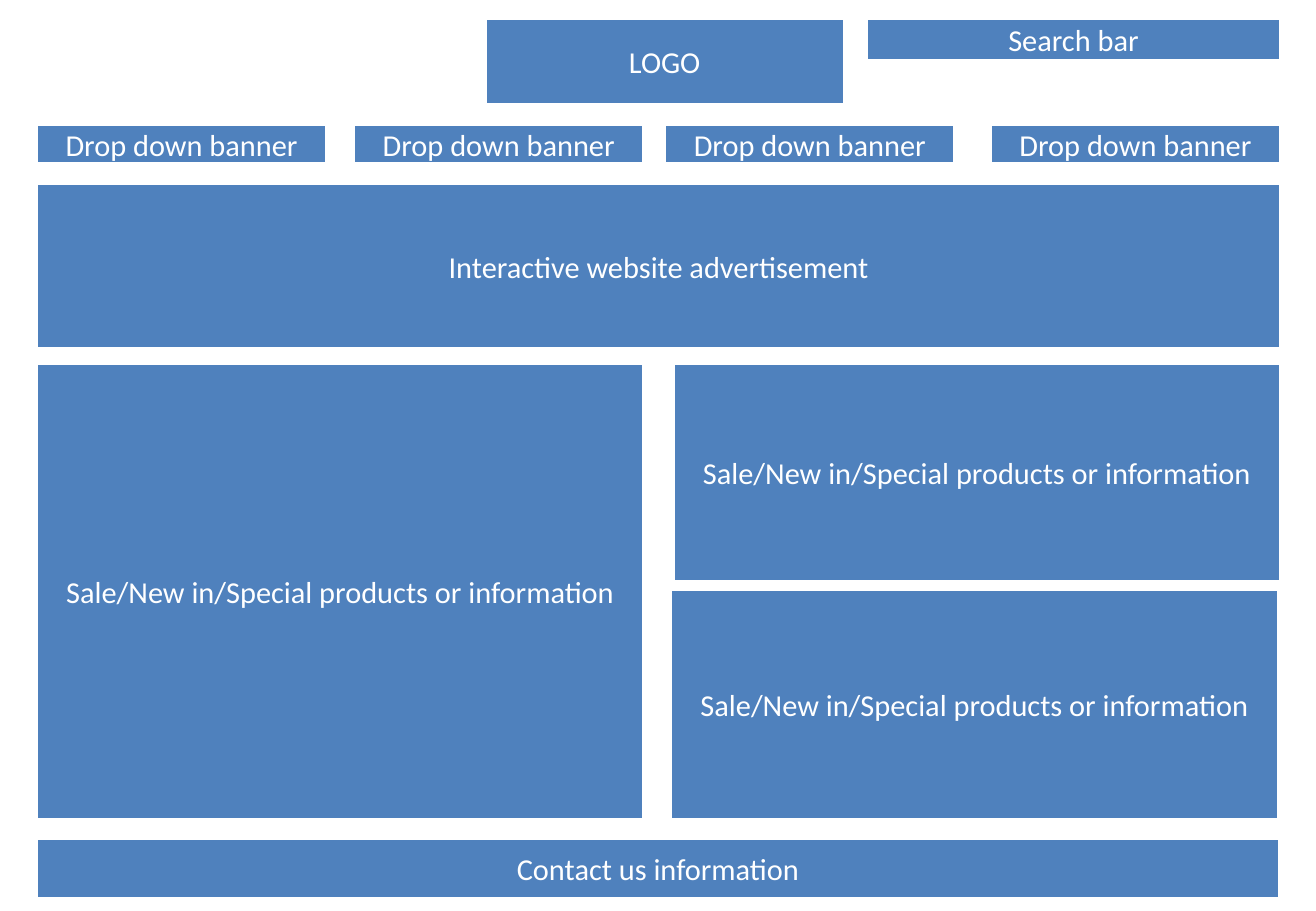
from dataclasses import dataclass

from pptx import Presentation
from pptx.dml.color import RGBColor
from pptx.enum.shapes import MSO_SHAPE
from pptx.enum.text import MSO_ANCHOR, PP_ALIGN
from pptx.shapes.autoshape import Shape
from pptx.slide import Slide
from pptx.util import Inches, Pt

RECT = MSO_SHAPE.RECTANGLE
MIDDLE = MSO_ANCHOR.MIDDLE
CENTER = PP_ALIGN.CENTER

BLUE = RGBColor(0x4F, 0x81, 0xBD)
WHITE = RGBColor(0xFF, 0xFF, 0xFF)

LABEL_FORMAT = {"name": "Calibri", "size": Pt(18)}
BLANK_LAYOUT = 6

LEFT = 0.3
HEADER_TOP = 0.15
PROMO_TOP = 2.99
PROMO_WIDTH = 5
BANNER_LEFTS = (LEFT, 2.91, 5.47, 8.15)
PROMO_TEXT = "Sale/New in/Special products or information"


@dataclass(frozen=True)
class Block:
    text: str
    left: float
    top: float
    width: float
    height: float


BLOCKS = [
    Block("LOGO", 3.99, HEADER_TOP, 2.96, 0.71),
    *(Block("Drop down banner", left, 1.02, 2.39, 0.33) for left in BANNER_LEFTS),
    Block("Search bar", 7.13, HEADER_TOP, 3.41, 0.35),
    Block("Interactive website advertisement", LEFT, 1.51, 10.24, 1.36),
    Block("Contact us information", LEFT, 6.9, 10.23, 0.5),
    Block(PROMO_TEXT, LEFT, PROMO_TOP, PROMO_WIDTH, 3.76),
    Block(PROMO_TEXT, 5.52, 4.85, PROMO_WIDTH, 1.9),
    Block(PROMO_TEXT, 5.54, PROMO_TOP, PROMO_WIDTH, 1.8),
]


def add_block(s: Slide, block: Block) -> Shape:
    sp = s.shapes.add_shape(
        RECT,
        Inches(block.left),
        Inches(block.top),
        Inches(block.width),
        Inches(block.height),
    )
    sp.shadow.inherit = False
    sp.fill.solid()
    sp.fill.fore_color.rgb = BLUE
    sp.line.color.rgb = WHITE
    sp.line.width = Pt(2)

    tf = sp.text_frame
    tf.word_wrap = True
    tf.vertical_anchor = MIDDLE
    p = tf.paragraphs[0]
    p.alignment = CENTER
    r = p.add_run()
    r.text = block.text
    for key, value in LABEL_FORMAT.items():
        setattr(r.font, key, value)
    r.font.color.rgb = WHITE
    return sp


def main() -> None:
    prs = Presentation()
    prs.slide_width = Inches(10.83)
    prs.slide_height = Inches(7.5)
    s = prs.slides.add_slide(prs.slide_layouts[BLANK_LAYOUT])
    for block in BLOCKS:
        add_block(s, block)
    prs.save("out.pptx")


if __name__ == "__main__":
    main()
